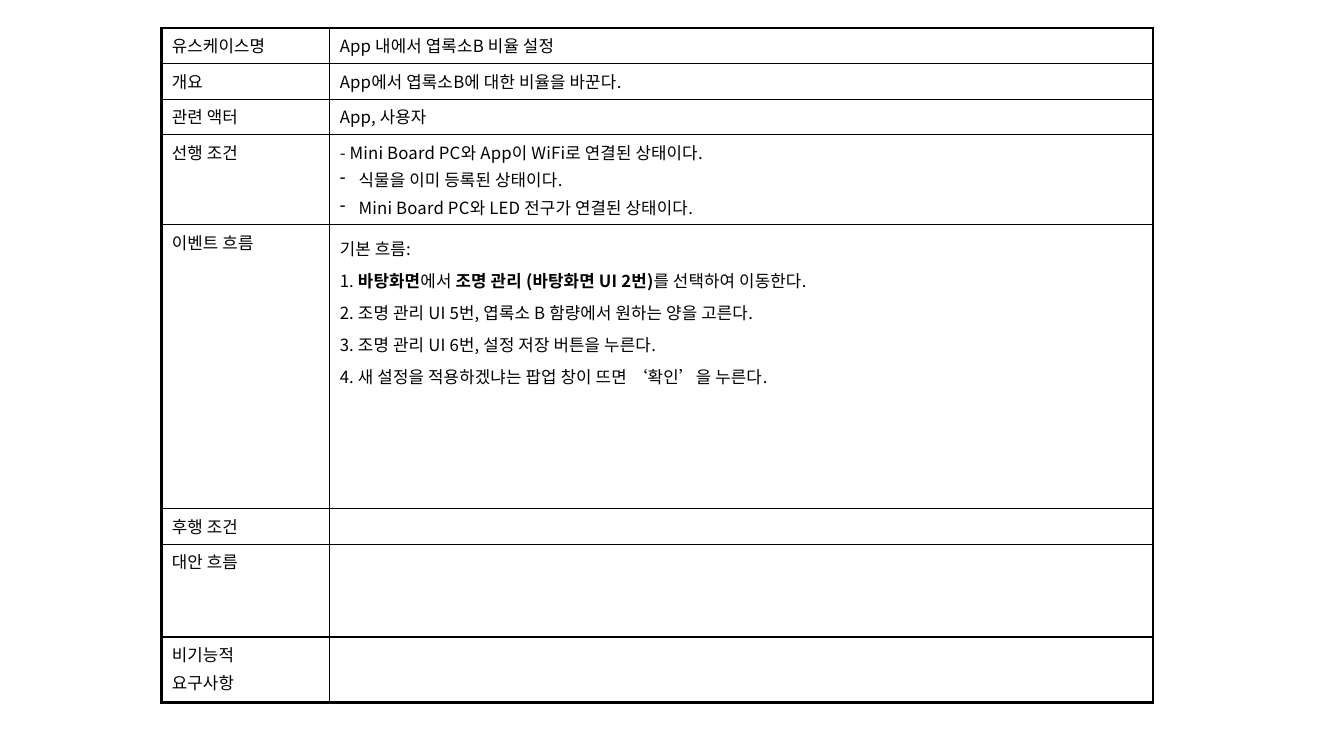
from dataclasses import dataclass

import lxml.etree
import pptx
import pptx.dml.color
import pptx.enum.text
import pptx.oxml
import pptx.oxml.ns
import pptx.util

Pt = pptx.util.Pt
qn = pptx.oxml.ns.qn


@dataclass(frozen=True)
class Theme:
    ink: str = "000000"
    font: str = "Noto Sans CJK KR"
    size: int = 12
    tracking: str = "10"
    thin: float = 1
    thick: float = 2.25


theme = Theme()
PLAIN = {"space_before": Pt(2.4)}
STEP = {
    "space_before": Pt(1.2),
    "line_spacing": 1.25,
    "alignment": pptx.enum.text.PP_ALIGN.JUSTIFY,
}
MARGINS = {
    "margin_left": Pt(7.2),
    "margin_right": Pt(7.2),
    "margin_top": Pt(3.6),
    "margin_bottom": Pt(3.6),
}

# Row height, label lines, content lines, content format.
# A line is a list of pieces; every second piece is bold.
# A line marked with "•" takes a hanging dash.
use_case = [
    (25.4, ["유스케이스명"], [["App 내에서 엽록소B 비율 설정"]], PLAIN),
    (25.4, ["개요"], [["App에서 엽록소B에 대한 비율을 바꾼다."]], PLAIN),
    (25.4, ["관련 액터"], [["App, 사용자"]], PLAIN),
    (62, ["선행 조건"], [
        ["- Mini Board PC와 App이 WiFi로 연결된 상태이다."],
        ["•식물을 이미 등록된 상태이다."],
        ["•Mini Board PC와 LED 전구가 연결된 상태이다."],
    ], PLAIN),
    (203, ["이벤트 흐름"], [
        ["기본 흐름:"],
        ["1. ", "바탕화면", "에서 ", "조명 관리 (바탕화면 UI 2번)", "를 선택하여 이동한다."],
        ["2. 조명 관리 UI 5번, 엽록소 B 함량에서 원하는 양을 고른다."],
        ["3. 조명 관리 UI 6번, 설정 저장 버튼을 누른다."],
        ["4. 새 설정을 적용하겠냐는 팝업 창이 뜨면 ‘확인’을 누른다."],
    ], STEP),
    (25.4, ["후행 조건"], [], PLAIN),
    (66.2, ["대안 흐름"], [], PLAIN),
    (46.8, ["비기능적", "요구사항"], [], PLAIN),
]


def write_lines(cell, lines, line_format):
    frame = cell.text_frame
    for number, pieces in enumerate(lines):
        line = frame.add_paragraph() if number else frame.paragraphs[0]
        for key, value in line_format.items():
            setattr(line, key, value)
        if pieces[0].startswith("•"):
            properties = line._p.get_or_add_pPr()
            properties.set("marL", str(Pt(13.5)))
            properties.set("indent", str(-Pt(13.5)))
            lxml.etree.SubElement(properties, qn("a:buChar"), char="-")
        for position, words in enumerate(pieces):
            piece = line.add_run()
            piece.text = words.removeprefix("•")
            look = {"name": theme.font, "size": Pt(theme.size), "bold": position % 2 == 1}
            for key, value in look.items():
                setattr(piece.font, key, value)
            piece.font.color.rgb = pptx.dml.color.RGBColor.from_string(theme.ink)
            properties = piece._r.get_or_add_rPr()
            properties.set("spc", theme.tracking)
            lxml.etree.SubElement(properties, qn("a:ea"), typeface=theme.font)
    if not lines:
        frame.paragraphs[0]._p.get_or_add_endParaRPr().set("sz", str(theme.size * 100))


def draw_borders(cell, widths):
    """Put the left, right, top and bottom lines ahead of the cell's fill."""
    properties = cell._tc.get_or_add_tcPr()
    for place, (side, width) in enumerate(zip("LRTB", widths)):
        border = pptx.oxml.parse_xml(
            f'<a:ln{side} {pptx.oxml.ns.nsdecls("a")} w="{Pt(width)}">'
            f'<a:solidFill><a:srgbClr val="{theme.ink}"/></a:solidFill></a:ln{side}>'
        )
        properties.insert(place, border)


presentation = pptx.Presentation()
presentation.slide_width = Pt(960)
presentation.slide_height = Pt(540)
slide = presentation.slides.add_slide(presentation.slide_layouts[6])

column_widths = [120, 588]
total_height = sum(row[0] for row in use_case)
sheet = slide.shapes.add_table(
    len(use_case), len(column_widths), Pt(115.5), Pt(20), Pt(sum(column_widths)), Pt(total_height)
).table
sheet.first_row = False
sheet.horz_banding = False
for column, width in zip(sheet.columns, column_widths):
    column.width = Pt(width)

last = len(use_case) - 1
for index, (height, label, content, content_format) in enumerate(use_case):
    sheet.rows[index].height = Pt(height)
    label_lines = [[words] for words in label]
    sides = [(label_lines, PLAIN), (content, content_format)]
    for side, (lines, line_format) in enumerate(sides):
        cell = sheet.cell(index, side)
        cell.fill.background()
        for key, value in MARGINS.items():
            setattr(cell, key, value)
        write_lines(cell, lines, line_format)
        outer = [side == 0, side == 1, index == 0, index == last]
        draw_borders(cell, [theme.thick if edge else theme.thin for edge in outer])

presentation.save("out.pptx")
